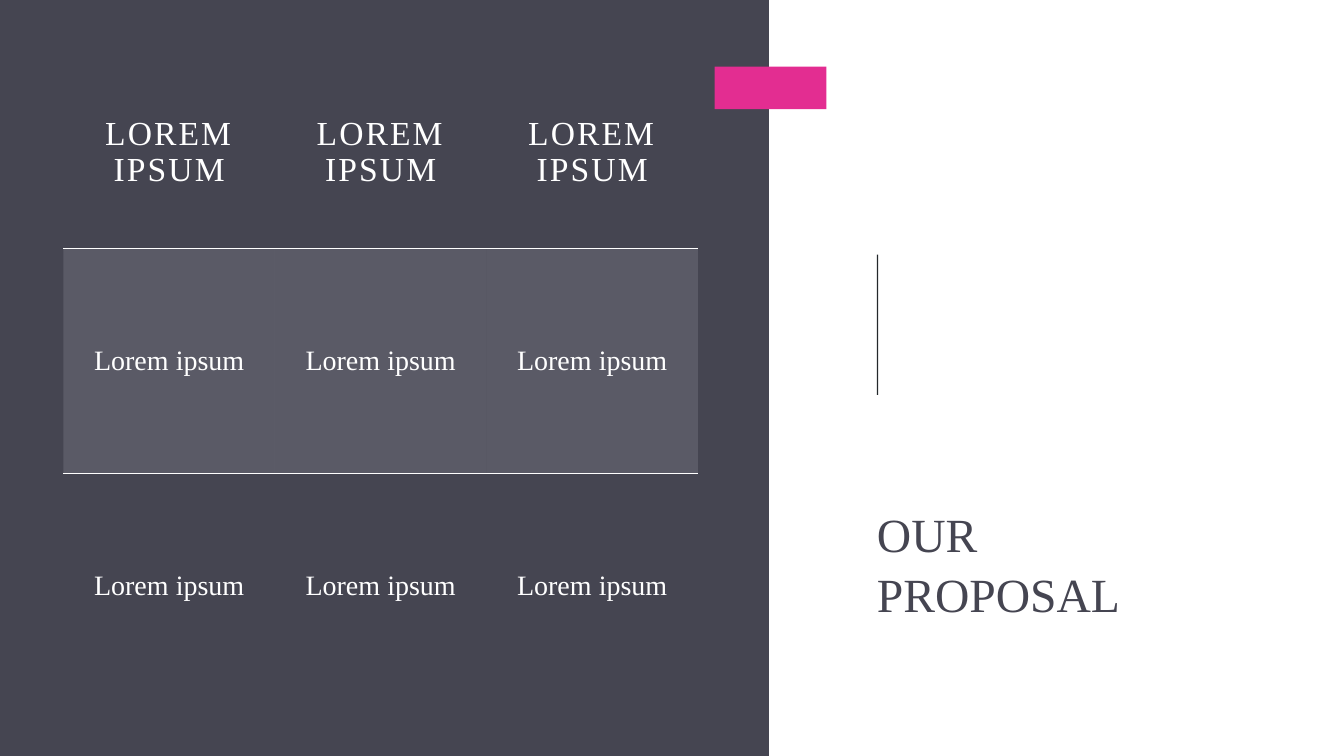
"""Build the proposal slide: a table on a dark panel beside the title."""
from lxml.etree import SubElement
from pptx import Presentation
from pptx.dml.color import RGBColor
from pptx.enum.shapes import MSO_SHAPE
from pptx.enum.text import MSO_ANCHOR, MSO_AUTO_SIZE, PP_ALIGN
from pptx.oxml import parse_xml
from pptx.oxml.ns import nsdecls, qn
from pptx.util import Cm, Pt

FONT = "Times New Roman"
SLATE, WHITE, PINK, INK, MIST = "454551", "FFFFFF", "E32D91", "24282B", "B1B1BD"
NO_GRID_STYLE = "{2D5ABB26-0587-4C30-8999-92F81FD0307C}"
COLUMN_WIDTH = 5.33
ROW_HEIGHTS = [4.85, 5.67, 5.67]
ROWS = [["LOREM IPSUM"] * 3, ["Lorem ipsum"] * 3, ["Lorem ipsum"] * 3]


def color(code):
    """Turn a hex string into a colour."""
    return RGBColor.from_string(code)


def add_block(page, left, top, width, height, code):
    """Add a plain filled rectangle, measured in centimetres."""
    block = page.shapes.add_shape(
        MSO_SHAPE.RECTANGLE, Cm(left), Cm(top), Cm(width), Cm(height))
    block.shadow.inherit = False
    block.fill.solid()
    block.fill.fore_color.rgb = color(code)
    block.line.fill.background()


def add_span(para, text, size, code):
    """Add one formatted run to a paragraph."""
    span = para.add_run()
    span.text = text
    span.font.name = FONT
    span.font.size = Pt(size)
    span.font.color.rgb = color(code)
    return span


def set_title(page):
    """Place the title placeholder and fill its two lines."""
    title = page.shapes.title
    title.left, title.top = Cm(22.1), Cm(11.2)
    title.width, title.height = Cm(10.16), Cm(4.47)
    frame = title.text_frame
    frame.word_wrap = True
    frame.auto_size = MSO_AUTO_SIZE.NONE
    frame.vertical_anchor = MSO_ANCHOR.BOTTOM
    frame.margin_left = frame.margin_right = Cm(0)
    frame.margin_top = frame.margin_bottom = Cm(0)
    para = frame.paragraphs[0]
    para.alignment = PP_ALIGN.LEFT
    para.line_spacing = 1.04
    add_span(para, "OUR ", 34, SLATE)
    para.add_line_break()
    add_span(para, "PROPOSAL", 34, SLATE)


def add_border(cell, position, side, code):
    """Draw a one-point line on one side of a cell."""
    line = parse_xml(
        f'<a:{side} {nsdecls("a")} w="12700"><a:solidFill>'
        f'<a:srgbClr val="{code}"/></a:solidFill></a:{side}>')
    cell._tc.get_or_add_tcPr().insert(position, line)


def fill_cell(cell, text, is_header, is_shaded):
    """Write and format one table cell."""
    cell.vertical_anchor = MSO_ANCHOR.MIDDLE
    cell.margin_left = cell.margin_right = Cm(0.64)
    cell.margin_top = cell.margin_bottom = Cm(0.64)
    para = cell.text_frame.paragraphs[0]
    para.alignment = PP_ALIGN.CENTER
    span = add_span(para, text, 24 if is_header else 20, WHITE)
    if is_header:
        para.line_spacing = 0.96
        span.font._element.set("spc", "150")
    if is_shaded:
        cell.fill.solid()
        cell.fill.fore_color.rgb = color(MIST)
        tint = next(cell._tc.tcPr.iter(qn("a:srgbClr")))
        SubElement(tint, qn("a:alpha")).set("val", "20000")
        add_border(cell, 0, "lnT", WHITE)
        add_border(cell, 1, "lnB", WHITE)
    else:
        cell.fill.background()
        if is_header:
            add_border(cell, 0, "lnB", WHITE)


def add_proposal_table(page):
    """Add the table of three columns with a shaded middle row."""
    table = page.shapes.add_table(
        len(ROWS), len(ROWS[0]), Cm(1.6), Cm(1.42),
        Cm(COLUMN_WIDTH * len(ROWS[0])), Cm(sum(ROW_HEIGHTS))).table
    table.first_row = table.horz_banding = False
    next(table._tbl.iter(qn("a:tableStyleId"))).text = NO_GRID_STYLE
    for column in table.columns:
        column.width = Cm(COLUMN_WIDTH)
    for index, texts in enumerate(ROWS):
        table.rows[index].height = Cm(ROW_HEIGHTS[index])
        for place, text in enumerate(texts):
            fill_cell(table.cell(index, place), text, index == 0, index == 1)


def main():
    """Build and save the deck."""
    deck = Presentation()
    deck.slide_width, deck.slide_height = Cm(33.87), Cm(19.05)
    page = deck.slides.add_slide(deck.slide_layouts[5])
    add_block(page, 0, 0, 19.38, 19.05, SLATE)
    add_block(page, 22.1, 6.42, 0.03, 3.53, INK)
    add_block(page, 18.01, 1.68, 2.82, 1.07, PINK)
    set_title(page)
    add_proposal_table(page)
    deck.save("out.pptx")


if __name__ == "__main__":
    main()
